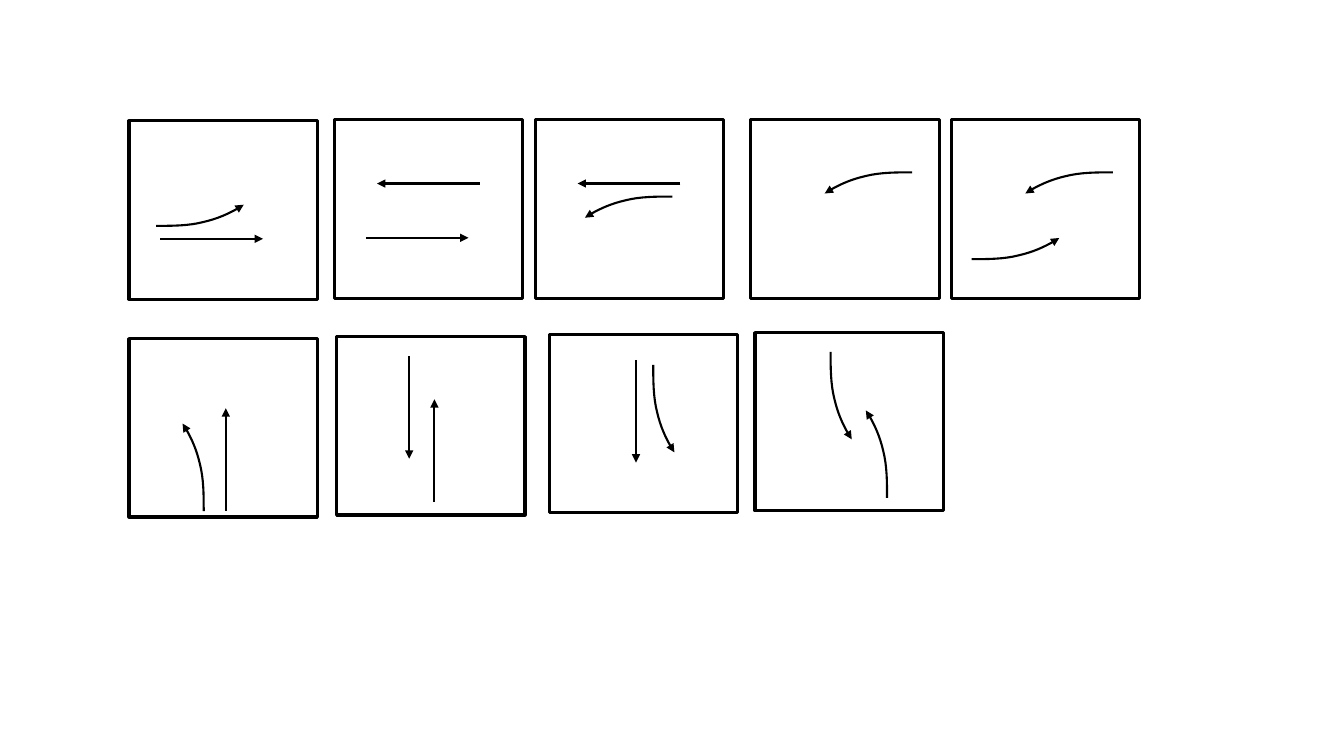
from lxml.etree import SubElement
from pptx import Presentation
from pptx.dml.color import RGBColor
from pptx.enum.shapes import MSO_CONNECTOR as CONN, MSO_SHAPE as SHAPE
from pptx.oxml.ns import qn
from pptx.util import Pt

BLACK = RGBColor(0, 0, 0)
PANEL_W, PANEL_H = 134.6, 127.4
ARROW_LEN = 73.4

# Unit directions of travel
RIGHT, LEFT, UP, DOWN = (1, 0), (-1, 0), (0, -1), (0, 1)

# Bend as (along, sideways) steps: start, then two cubic segments
BEND = [(0, 0), (11.5, 0), (23, 0), (33.6, 2.7), (44, 5.1), (56.7, 10.9), (62.5, 15.1)]


def style_line(shape, width):
    shape.line.color.rgb = BLACK
    shape.line.width = Pt(width)


def add_arrowhead(shape):
    ln = shape._element.spPr.find(qn("a:ln"))
    SubElement(ln, qn("a:tailEnd"), type="triangle")


def straight(s, x, y, direction):
    dx, dy = direction
    arrow = s.shapes.add_connector(CONN.STRAIGHT, Pt(x), Pt(y),
                                   Pt(x + dx * ARROW_LEN), Pt(y + dy * ARROW_LEN))
    style_line(arrow, 1.5)
    add_arrowhead(arrow)
    SubElement(arrow._element.spPr, qn("a:effectLst"))


def curved(s, x, y, direction):
    """Arrow that bends to the left of its direction of travel."""
    dx, dy = direction
    points = [(Pt(x + a * dx + b * dy), Pt(y + a * dy - b * dx)) for a, b in BEND]
    builder = s.shapes.build_freeform(*points[0])
    builder.add_line_segments(points[1:], close=False)
    arrow = builder.convert_to_shape()
    arrow.shadow.inherit = False
    arrow.fill.background()
    style_line(arrow, 1.5)
    add_arrowhead(arrow)

    # Turn each three line points into one cubic segment
    path = next(arrow._element.iter(qn("a:path")))
    steps = path.findall(qn("a:lnTo"))
    for i in range(0, len(steps), 3):
        cubic = SubElement(path, qn("a:cubicBezTo"))
        for step in steps[i:i + 3]:
            cubic.append(step[0])
            path.remove(step)


def panel(s, left, top, arrows):
    frame = s.shapes.add_shape(SHAPE.RECTANGLE, Pt(left), Pt(top), Pt(PANEL_W), Pt(PANEL_H))
    frame.shadow.inherit = False
    frame.fill.background()
    style_line(frame, 2.25)
    for draw, x, y, direction in arrows:
        draw(s, left + x, top + y, direction)


# Panels: left, top, arrows (kind, start within the panel, direction)
PANELS = [
    # Horizontal movements
    (92.2, 86.4, [(curved, 19.4, 74.9, RIGHT), (straight, 22.3, 84.2, RIGHT)]),
    (239, 85.7, [(straight, 22.3, 84.2, RIGHT), (straight, 103.7, 45.4, LEFT)]),
    (382.3, 85.7, [(straight, 103.7, 45.4, LEFT), (curved, 98, 54.7, LEFT)]),
    (536.4, 85.7, [(curved, 115.2, 37.4, LEFT)]),
    (679.7, 85.7, [(curved, 115.2, 37.4, LEFT), (curved, 14.4, 99.4, RIGHT)]),
    # Vertical movements
    (92.2, 241.9, [(curved, 53.3, 123.1, UP), (straight, 69.1, 123.1, UP)]),
    (240.5, 240.5, [(straight, 69.8, 118.1, UP), (straight, 51.8, 13.7, DOWN)]),
    (392.4, 239, [(curved, 74.2, 21.6, DOWN), (straight, 61.9, 18, DOWN)]),
    (539.3, 237.6, [(curved, 54, 13.7, DOWN), (curved, 94.3, 118.1, UP)]),
]

prs = Presentation()
prs.slide_width, prs.slide_height = Pt(960), Pt(540)
s = prs.slides.add_slide(prs.slide_layouts[6])
for left, top, arrows in PANELS:
    panel(s, left, top, arrows)
prs.save("out.pptx")
